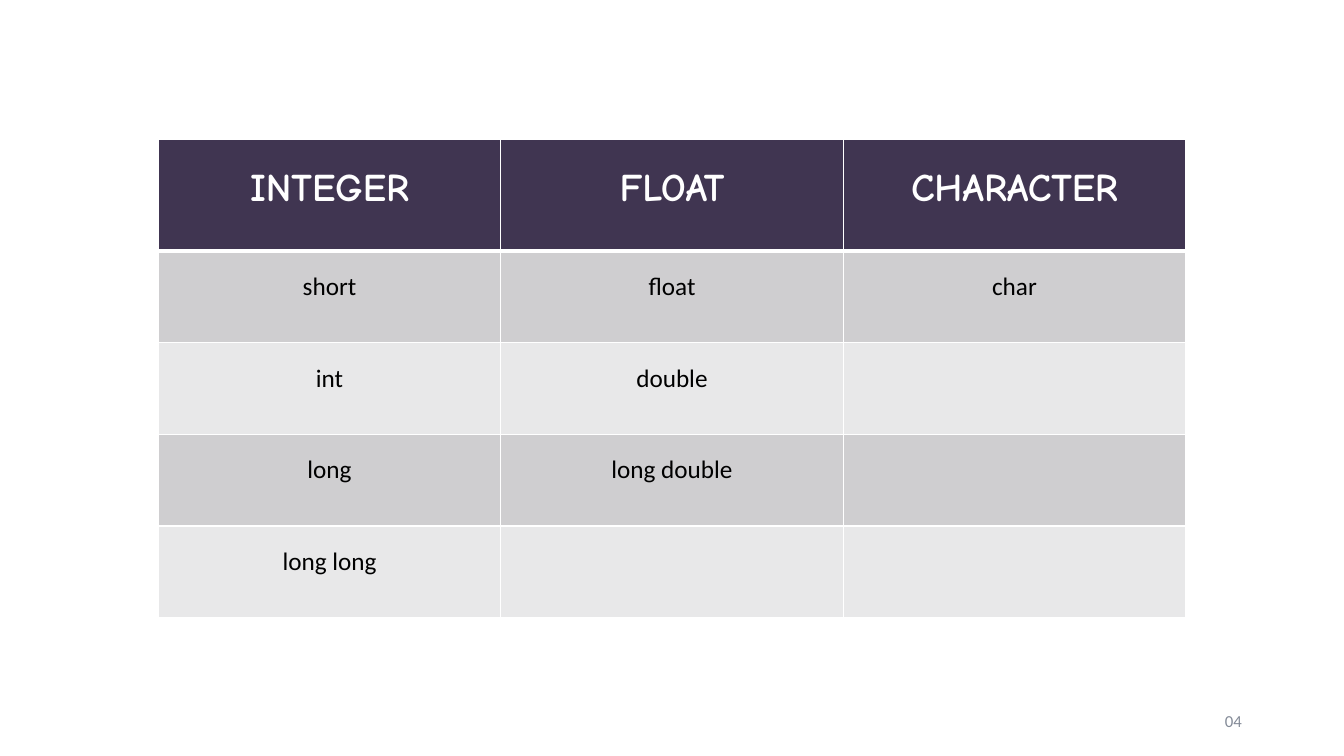
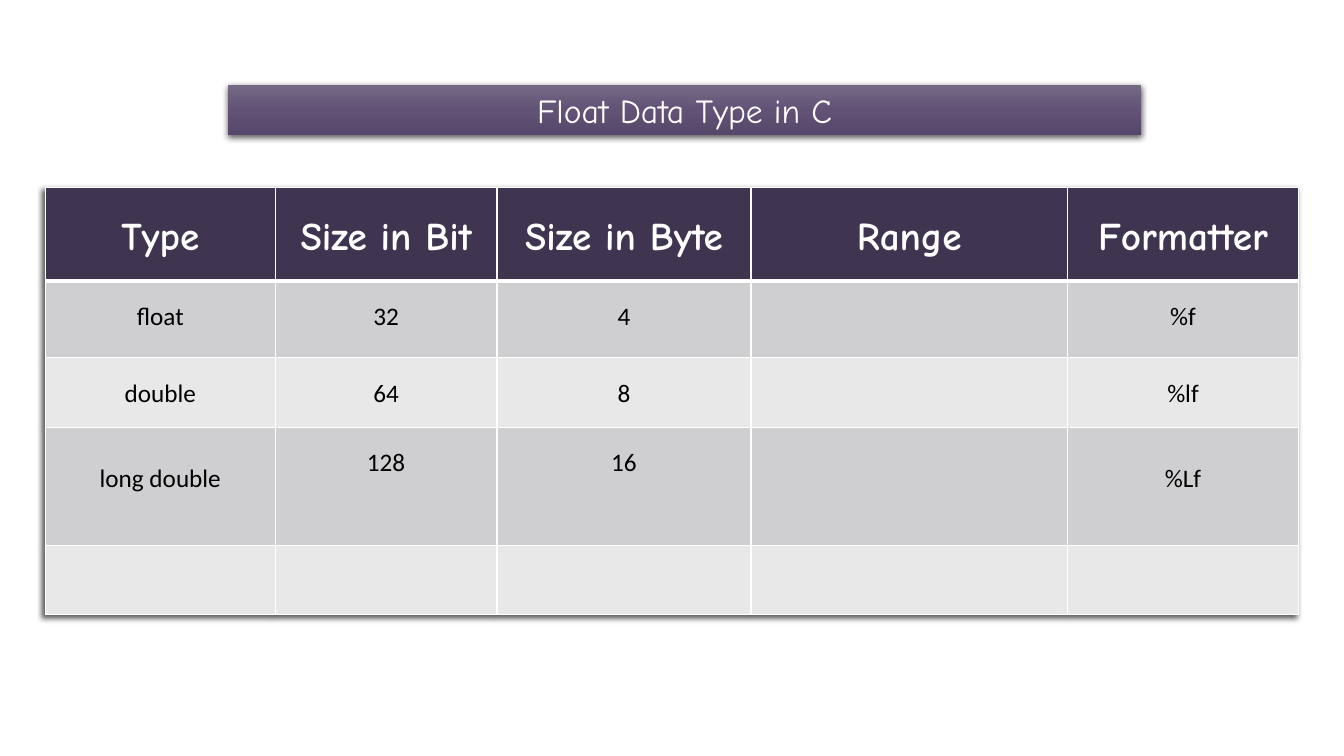
import copy
from lxml import etree
from pptx import Presentation
from pptx import util as u
from pptx.dml import color
from pptx.enum import shapes, text
from pptx.oxml import ns

COLOURS = {
    "header": "403551", "odd_row": "CFCED0", "even_row": "E8E8E9",
    "white": "FFFFFF", "black": "000000", "number": "848B98",
    "band_top": "756B85", "band_middle": "615276", "band_bottom": "56486A",
}
FORMATS = {
    "header": {"name": "Comic Neue", "size": u.Pt(28), "bold": True, "colour": "white"},
    "body": {"name": "Calibri", "size": u.Pt(18), "bold": False, "colour": "black"},
    "band": {"name": "Comic Neue", "size": u.Pt(24), "bold": False, "colour": "white"},
    "number": {"name": "Calibri", "size": u.Pt(12), "bold": False, "colour": "number"},
}
ALIGN = text.PP_ALIGN


def rgb(name):
    return color.RGBColor.from_string(COLOURS[name])


def add_xml(parent, tag, **attributes):
    return etree.SubElement(parent, ns.qn(tag), attributes)


class Deck:
    """Holds the style and the current slide; lengths are percent of the slide."""

    def __init__(self):
        self.presentation = Presentation()
        self.presentation.slide_width = u.Inches(13.33)
        self.presentation.slide_height = u.Inches(7.5)
        self.slide = None

    def new_slide(self):
        self.slide = self.presentation.slides.add_slide(self.presentation.slide_layouts[6])

    def across(self, percent):
        return round(self.presentation.slide_width * percent / 100)

    def down(self, percent):
        return round(self.presentation.slide_height * percent / 100)

    def box(self, left, top, width, height):
        return self.across(left), self.down(top), self.across(width), self.down(height)

    def set_words(self, frame, words, style, align=ALIGN.CENTER, spacing=None):
        paragraph = frame.paragraphs[0]
        paragraph.alignment = align
        paragraph.line_spacing = spacing
        # An empty cell keeps its size on the paragraph
        font = (paragraph.add_run() if words else paragraph).font
        if words:
            paragraph.runs[0].text = words
        for key, value in FORMATS[style].items():
            if key == "colour":
                font.color.rgb = rgb(value)
            else:
                setattr(font, key, value)

    def shadow(self, effects, blur, distance, angle):
        outer = add_xml(effects, "a:outerShdw", blurRad=str(u.Pt(blur)), dist=str(u.Pt(distance)),
                        dir=str(angle * 60000), algn="ctr", rotWithShape="0")
        add_xml(add_xml(outer, "a:srgbClr", val=COLOURS["black"]), "a:alpha", val="63000")

    def borders(self, cell, top, bottom):
        properties = cell._tc.get_or_add_tcPr()
        for side, width in {"L": 1, "R": 1, "T": top, "B": bottom}.items():
            line = add_xml(properties, "a:ln" + side, w=str(u.Pt(width)))
            add_xml(add_xml(line, "a:solidFill"), "a:srgbClr", val=COLOURS["white"])

    def table(self, left, top, columns, rows, content, spacing=None, shadow=False):
        frame = self.slide.shapes.add_table(
            len(rows), len(columns), *self.box(left, top, sum(columns), sum(rows)))
        table = frame.table
        table.horz_banding = False
        for column, width in zip(table.columns, columns):
            column.width = self.across(width)
        for index, height in enumerate(rows):
            table.rows[index].height = self.down(height)
            fill = "header" if index == 0 else ("even_row", "odd_row")[index % 2]
            for position, words in enumerate(content[index]):
                cell = table.cell(index, position)
                self.borders(cell, 3 if index == 1 else 1, 3 if index == 0 else 1)
                cell.fill.solid()
                cell.fill.fore_color.rgb = rgb(fill)
                self.set_words(cell.text_frame, words, "body" if index else "header",
                               spacing=(spacing or {}).get((index, position), 1.5))
        if shadow:
            effects = etree.Element(ns.qn("a:effectLst"))
            table._tbl.tblPr.insert(0, effects)
            self.shadow(effects, 4, 3, 135)

    def title_band(self, words, *place):
        shape = self.slide.shapes.add_shape(shapes.MSO_SHAPE.RECTANGLE, *self.box(*place))
        shape.line.fill.background()
        shape.fill.gradient()
        shape.fill.gradient_angle = 270
        stops = shape._element.spPr.find(".//" + ns.qn("a:gsLst"))
        stops.append(copy.deepcopy(stops[-1]))
        names = ("band_top", "band_middle", "band_bottom")
        for index, (stop, name) in enumerate(zip(shape.fill.gradient_stops, names)):
            stop.position = index / 2
            stop.color.rgb = rgb(name)
        shape.shadow.inherit = False
        self.shadow(shape._element.spPr.find(ns.qn("a:effectLst")), 4.5, 1.5, 90)
        self.set_words(shape.text_frame, words, "band")

    def page_number(self, words):
        shape = self.slide.shapes.add_textbox(*self.box(70.65, 92.67, 22.5, 5.33))
        frame = shape.text_frame
        frame.word_wrap = True
        frame.vertical_anchor = text.MSO_ANCHOR.MIDDLE
        self.set_words(frame, words, "number", ALIGN.RIGHT)


deck = Deck()

# Data types by family
deck.new_slide()
deck.page_number("04")
deck.table(11.78, 18.4, [25.48] * 3, [14.8] + [12.13] * 4, [
    ("INTEGER", "FLOAT", "CHARACTER"),
    ("short", "float", "char"),
    ("int", "double", ""),
    ("long", "long double", ""),
    ("long long", "", ""),
])

# Float data types
deck.new_slide()
deck.table(3.38, 24.8, [17.1, 16.5, 18.9, 23.56, 17.18], [12.4, 10.13, 9.2, 15.6, 9.2], [
    ("Type", "Size in Bit", "Size in Byte", "Range", "Formatter"),
    ("float", "32", "4", "", "%f"),
    ("double", "64", "8", "", "%lf"),
    ("long double", "128", "16", "", "%Lf"),
    ("",) * 5,
], spacing={(3, 0): 2, (3, 4): 2}, shadow=True)
deck.title_band("Float Data Type in C", 16.95, 11.2, 67.97, 6.67)

deck.presentation.save("out.pptx")
